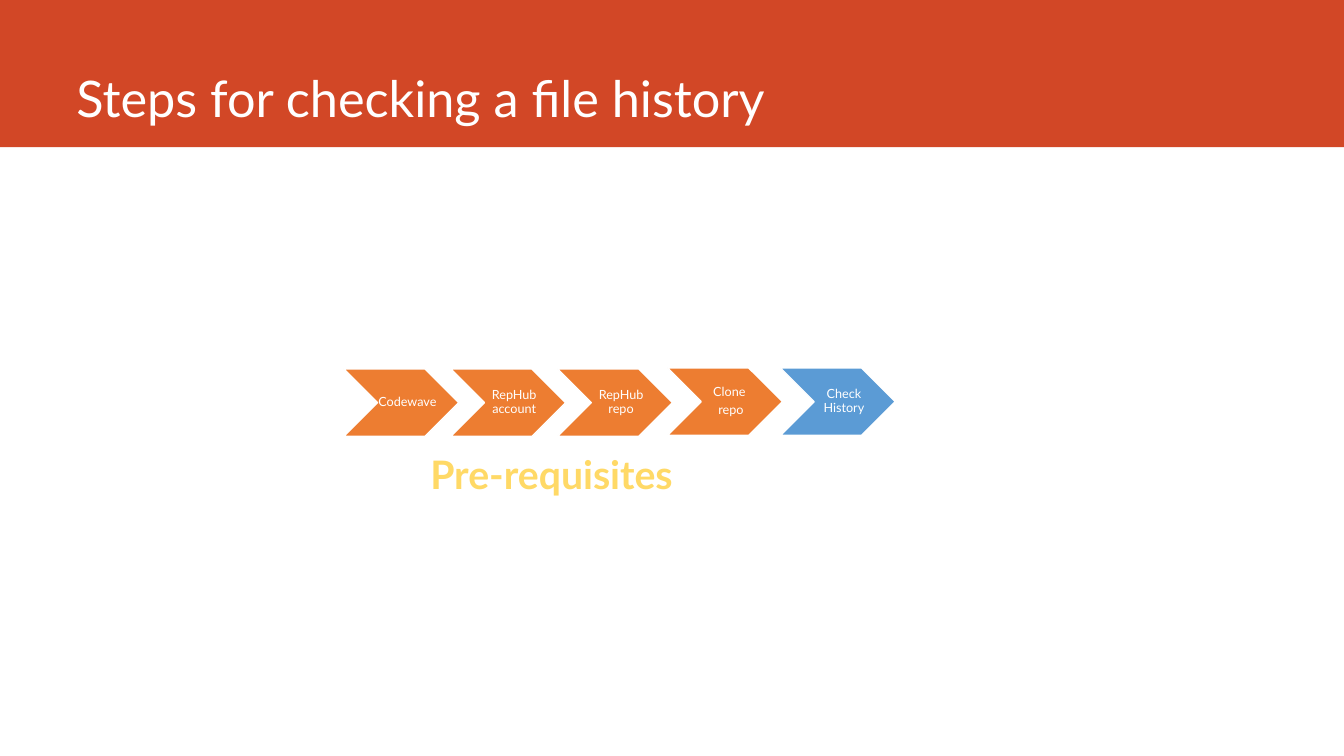
import dataclasses

import pptx
import pptx.dml.color
import pptx.enum.shapes
import pptx.enum.text
import pptx.util

EMU_PER_PX = 9144
FONT = "Lato"
WHITE = "FFFFFF"
ORANGE = "ED7D31"
BLUE = "5B9BD5"
CHEVRON_WIDTH, CHEVRON_HEIGHT = 114, 67
LABEL_OFFSET, LABEL_WIDTH = 4, 99


@dataclasses.dataclass(frozen=True)
class Box:
    left: int
    top: int
    width: int
    height: int

    def emu(self) -> list[pptx.util.Length]:
        return [px(value) for value in dataclasses.astuple(self)]


@dataclasses.dataclass(frozen=True)
class TextStyle:
    size: int
    color: str = WHITE
    bold: bool = False
    alignment: pptx.enum.text.PP_ALIGN = pptx.enum.text.PP_ALIGN.CENTER
    anchor: pptx.enum.text.MSO_ANCHOR = pptx.enum.text.MSO_ANCHOR.TOP
    line_spacing: float = 1.0
    space_after: int = 0
    insets: tuple[int, int, int, int] = (10, 5, 10, 5)


@dataclasses.dataclass(frozen=True)
class Step:
    left: int
    top: int
    lines: tuple[str, ...]
    color: str = ORANGE


TITLE_STYLE = TextStyle(
    36,
    alignment=pptx.enum.text.PP_ALIGN.LEFT,
    anchor=pptx.enum.text.MSO_ANCHOR.BOTTOM,
    line_spacing=0.9,
)
STEP_STYLE = TextStyle(
    9,
    anchor=pptx.enum.text.MSO_ANCHOR.MIDDLE,
    line_spacing=0.9,
    space_after=3,
    insets=(28, 9, 9, 9),
)
CAPTION_STYLE = TextStyle(28, color="FFD966", bold=True)

STEPS = (
    Step(341, 366, ("Codewave",)),
    Step(447, 366, ("RepHub account",)),
    Step(553, 366, ("RepHub repo",)),
    Step(662, 365, ("Clone ", "repo")),
    Step(774, 365, ("Check History",), BLUE),
)


def px(value: int) -> pptx.util.Length:
    return pptx.util.Emu(value * EMU_PER_PX)


def rgb(value: str) -> pptx.dml.color.RGBColor:
    return pptx.dml.color.RGBColor.from_string(value)


def add_filled_shape(slide, kind: pptx.enum.shapes.MSO_SHAPE, box: Box, color: str):
    shape = slide.shapes.add_shape(kind, *box.emu())
    shape.shadow.inherit = False
    shape.fill.solid()
    shape.fill.fore_color.rgb = rgb(color)
    shape.line.fill.background()
    return shape


def add_text(slide, box: Box, lines: tuple[str, ...], style: TextStyle) -> None:
    frame = slide.shapes.add_textbox(*box.emu()).text_frame
    frame.word_wrap = True
    frame.vertical_anchor = style.anchor
    (
        frame.margin_left,
        frame.margin_top,
        frame.margin_right,
        frame.margin_bottom,
    ) = map(px, style.insets)
    for index, line in enumerate(lines):
        paragraph = frame.add_paragraph() if index else frame.paragraphs[0]
        paragraph.alignment = style.alignment
        paragraph.line_spacing = style.line_spacing
        paragraph.space_after = pptx.util.Pt(style.space_after)
        run = paragraph.add_run()
        run.text = line
        run.font.name = FONT
        run.font.size = pptx.util.Pt(style.size)
        run.font.bold = style.bold
        run.font.color.rgb = rgb(style.color)


def add_step(slide, step: Step) -> None:
    chevron_box = Box(step.left, step.top, CHEVRON_WIDTH, CHEVRON_HEIGHT)
    chevron = add_filled_shape(
        slide, pptx.enum.shapes.MSO_SHAPE.CHEVRON, chevron_box, step.color
    )
    chevron.line.color.rgb = rgb(WHITE)
    chevron.line.width = pptx.util.Pt(1)
    label_box = Box(step.left + LABEL_OFFSET, step.top, LABEL_WIDTH, CHEVRON_HEIGHT)
    add_text(slide, label_box, step.lines, STEP_STYLE)


def main() -> None:
    presentation = pptx.Presentation()
    presentation.slide_width = px(1333)
    presentation.slide_height = px(750)
    slide = presentation.slides.add_slide(presentation.slide_layouts[6])
    add_filled_shape(
        slide, pptx.enum.shapes.MSO_SHAPE.RECTANGLE, Box(0, 0, 1333, 146), "D24726"
    )
    add_text(
        slide, Box(66, 0, 1176, 132), ("Steps for checking a file history",), TITLE_STYLE
    )
    for step in STEPS:
        add_step(slide, step)
    add_text(slide, Box(341, 442, 412, 57), ("Pre-requisites",), CAPTION_STYLE)
    presentation.save("out.pptx")


if __name__ == "__main__":
    main()
